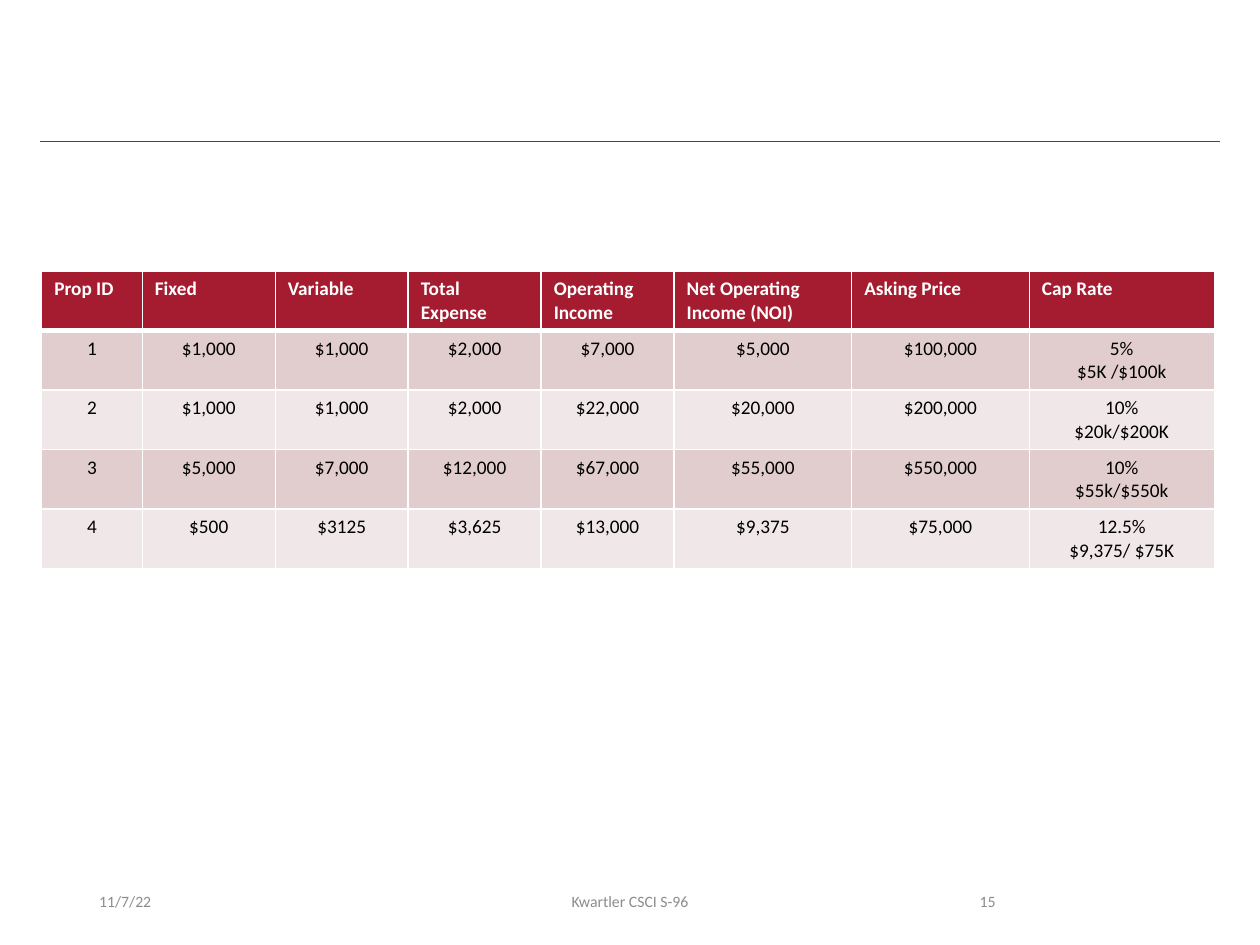
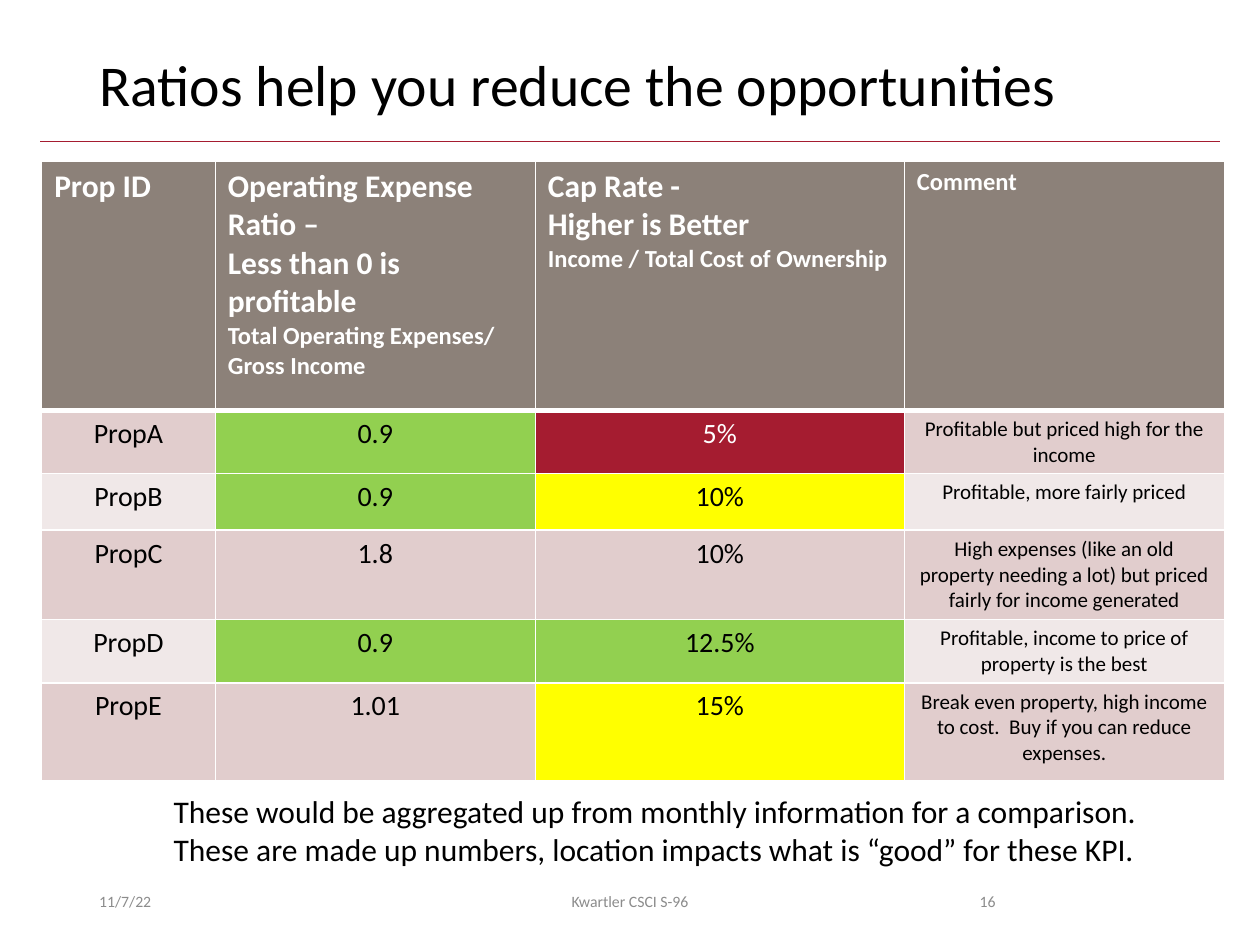
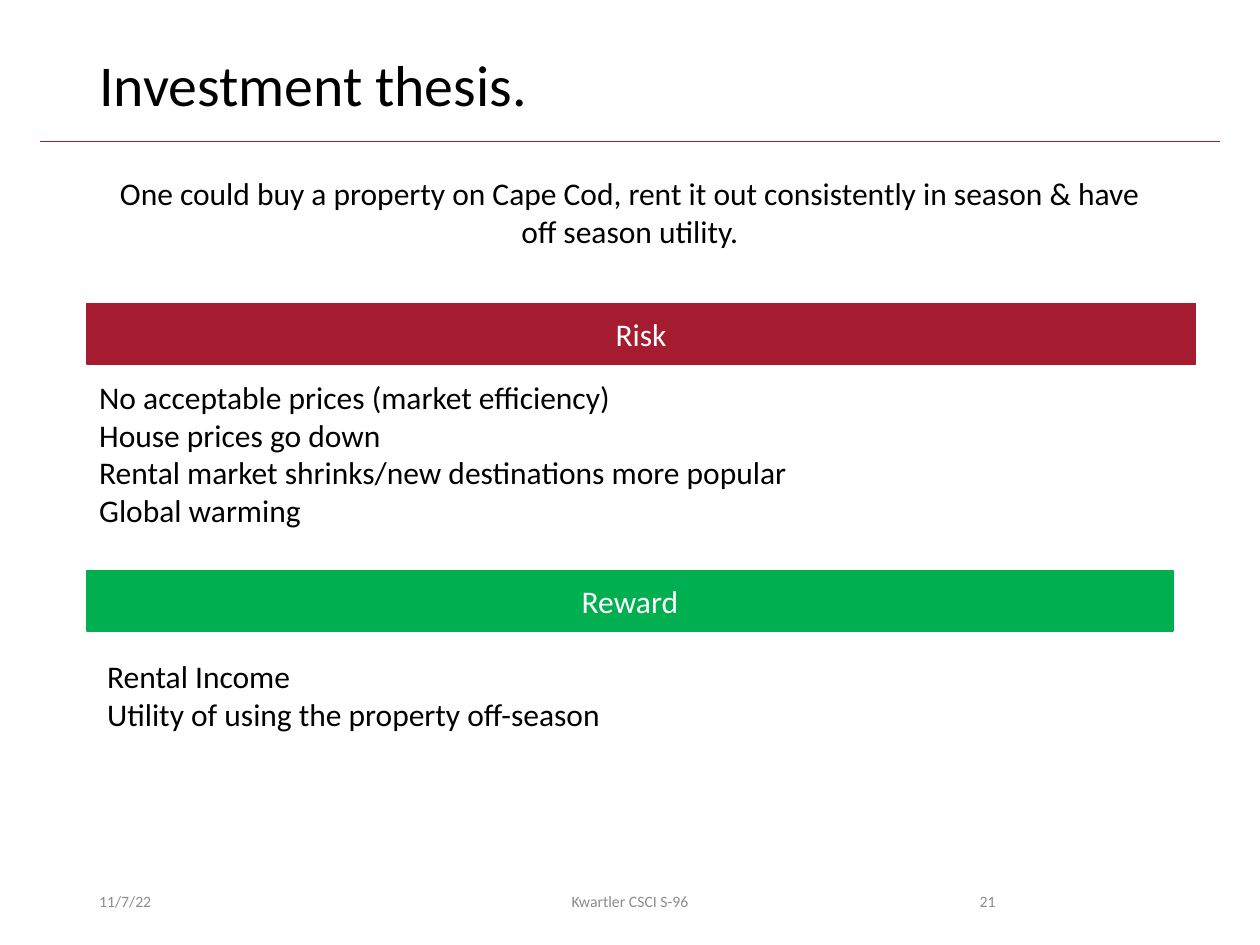
from lxml import etree
from pptx import Presentation
from pptx.dml.color import RGBColor
from pptx.enum.shapes import MSO_CONNECTOR, MSO_SHAPE
from pptx.enum.text import MSO_ANCHOR, PP_ALIGN
from pptx.oxml.ns import qn
from pptx.util import Cm, Pt

LEFT, CENTER, RIGHT = PP_ALIGN.LEFT, PP_ALIGN.CENTER, PP_ALIGN.RIGHT
TOP, MIDDLE = MSO_ANCHOR.TOP, MSO_ANCHOR.MIDDLE
RECTANGLE = MSO_SHAPE.RECTANGLE
STRAIGHT = MSO_CONNECTOR.STRAIGHT

CRIMSON = RGBColor(0xA5, 0x1C, 0x30)
TAUPE = RGBColor(0x8C, 0x81, 0x79)
BAND_DARK = RGBColor(0xE1, 0xCD, 0xCD)
BAND_LIGHT = RGBColor(0xF0, 0xE8, 0xE8)
LIME = RGBColor(0x92, 0xD0, 0x50)
YELLOW = RGBColor(0xFF, 0xFF, 0x00)
GREEN = RGBColor(0x00, 0xB0, 0x50)
GRAY = RGBColor(0x8C, 0x8C, 0x8C)
BLACK = RGBColor(0x00, 0x00, 0x00)
WHITE = RGBColor(0xFF, 0xFF, 0xFF)
FONT = "Calibri"
MARGIN = 1.75
CONTENT_WIDTH = 21.9


def write_text(frame, text, size=18, last_size=None, color=BLACK, bold=False,
               align=LEFT, anchor=TOP, line_spacing=None):
    frame.word_wrap = True
    frame.vertical_anchor = anchor
    lines = text.split("\n")
    for index, line in enumerate(lines):
        paragraph = frame.add_paragraph() if index else frame.paragraphs[0]
        paragraph.alignment = align
        paragraph.line_spacing = line_spacing
        run = paragraph.add_run()
        run.text = line
        is_last = index == len(lines) - 1
        run.font.size = Pt(last_size if last_size and is_last else size)
        run.font.name = FONT
        run.font.bold = bold
        run.font.color.rgb = color


def draw_table(slide, rows, top, widths, heights, header_fill, header_size,
               header_last_sizes, body_sizes, highlights):
    table = slide.shapes.add_table(
        len(rows), len(widths), Cm(0.84), Cm(top), Cm(sum(widths)), Cm(sum(heights))
    ).table
    for column, width in zip(table.columns, widths):
        column.width = Cm(width)
    for row_index, (values, height) in enumerate(zip(rows, heights)):
        table.rows[row_index].height = Cm(height)
        is_header = row_index == 0
        band = BAND_DARK if row_index % 2 else BAND_LIGHT
        for column_index, value in enumerate(values):
            cell = table.cell(row_index, column_index)
            properties = cell._tc.get_or_add_tcPr()
            for side in "LRTB":
                thick = (row_index, side) in ((0, "B"), (1, "T"))
                border = etree.SubElement(properties, qn(f"a:ln{side}"), w=str(Pt(3 if thick else 1)))
                solid = etree.SubElement(border, qn("a:solidFill"))
                etree.SubElement(solid, qn("a:srgbClr"), val=str(WHITE))
            fill = header_fill if is_header else highlights.get((row_index, column_index), band)
            cell.fill.solid()
            cell.fill.fore_color.rgb = fill
            if is_header:
                write_text(cell.text_frame, value, size=header_size, color=WHITE, bold=True,
                           last_size=header_last_sizes[column_index])
            else:
                write_text(cell.text_frame, value, size=body_sizes[column_index], align=CENTER,
                           color=WHITE if fill == CRIMSON else BLACK)


presentation = Presentation()
presentation.slide_width = Cm(25.4)
presentation.slide_height = Cm(19.05)

slides = []
for title, number in (
    (None, "15"),
    ("Ratios help you reduce the opportunities", "16"),
    ("Investment thesis.", "21"),
):
    slide = presentation.slides.add_slide(presentation.slide_layouts[6])
    slides.append(slide)
    rule = slide.shapes.add_connector(STRAIGHT, Cm(0.81), Cm(2.85), Cm(24.59), Cm(2.85))
    rule.line.color.rgb = CRIMSON
    rule.line.width = Pt(0.5)
    etree.SubElement(rule._element.spPr, qn("a:effectLst"))
    if title:
        title_box = slide.shapes.add_textbox(Cm(MARGIN), Cm(1.02), Cm(CONTENT_WIDTH), Cm(1.65))
        write_text(title_box.text_frame, title, size=33, line_spacing=0.9)
    for text, left, width, align in (
        ("11/7/22", MARGIN, 5.72, LEFT),
        ("Kwartler CSCI S-96", 8.41, 8.58, CENTER),
        (number, 17.93, 2.39, RIGHT),
    ):
        footer = slide.shapes.add_textbox(Cm(left), Cm(17.65), Cm(width), Cm(1.02))
        write_text(footer.text_frame, text, size=9, color=GRAY, align=align, anchor=MIDDLE)

property_slide, ratio_slide, thesis_slide = slides

property_rows = [
    ["Prop ID", "Fixed", "Variable", "Total Expense", "Operating Income",
     "Net Operating Income (NOI)", "Asking Price", "Cap Rate"],
    ["1", "$1,000", "$1,000", "$2,000", "$7,000", "$5,000", "$100,000", "5%\n$5K /$100k"],
    ["2", "$1,000", "$1,000", "$2,000", "$22,000", "$20,000", "$200,000", "10%\n$20k/$200K"],
    ["3", "$5,000", "$7,000", "$12,000", "$67,000", "$55,000", "$550,000", "10%\n$55k/$550k"],
    ["4", "$500", "$3125", "$3,625", "$13,000", "$9,375", "$75,000", "12.5%\n$9,375/ $75K"],
]
draw_table(
    property_slide, property_rows, top=5.46,
    widths=[2.03] + [2.68] * 4 + [3.58] * 2 + [3.73], heights=[1.2] * 5,
    header_fill=CRIMSON, header_size=11, header_last_sizes=[11] * 8,
    body_sizes=[11] * 8, highlights={},
)

ratio_rows = [
    ["Prop ID",
     "Operating Expense Ratio –\nLess than 0 is profitable\nTotal Operating Expenses/ Gross Income",
     "Cap Rate -\nHigher is Better\nIncome / Total Cost of Ownership",
     "Comment"],
    ["PropA", "0.9", "5%", "Profitable but priced high for the income"],
    ["PropB", "0.9", "10%", "Profitable, more fairly priced"],
    ["PropC", "1.8", "10%",
     "High expenses (like an old property needing a lot) but priced fairly for income generated"],
    ["PropD", "0.9", "12.5%", "Profitable, income to price of property is the best"],
    ["PropE", "1.01", "15%",
     "Break even property, high income to cost.  Buy if you can reduce expenses."],
]
draw_table(
    ratio_slide, ratio_rows, top=3.25,
    widths=[3.5, 6.45, 7.44, 6.45], heights=[5.02, 1.28, 1.14, 1.8, 1.28, 1.98],
    header_fill=TAUPE, header_size=18, header_last_sizes=[18, 14, 14, 14],
    body_sizes=[16, 16, 16, 12],
    highlights={(1, 1): LIME, (1, 2): CRIMSON, (2, 1): LIME, (2, 2): YELLOW,
                (4, 1): LIME, (4, 2): LIME, (5, 2): YELLOW},
)

for slide, text, left, top, width, height, align in (
    (ratio_slide,
     "These would be aggregated up from monthly information for a comparison.\n"
     "These are made up numbers, location impacts what is “good” for these KPI.",
     3.25, 15.85, 20.4, 1.8, LEFT),
    (thesis_slide,
     "One could buy a property on Cape Cod, rent it out consistently in season & have "
     "off season utility.",
     MARGIN, 3.38, CONTENT_WIDTH, 1.8, CENTER),
    (thesis_slide,
     "No acceptable prices (market efficiency)\nHouse prices go down\n"
     "Rental market shrinks/new destinations more popular\nGlobal warming",
     MARGIN, 7.49, 16.08, 3.33, LEFT),
    (thesis_slide,
     "Rental Income\nUtility of using the property off-season",
     1.91, 13.13, 16.2, 1.8, LEFT),
):
    text_box = slide.shapes.add_textbox(Cm(left), Cm(top), Cm(width), Cm(height))
    write_text(text_box.text_frame, text, align=align)

for heading, top, width, color in (
    ("Risk", 6.12, 22.35, CRIMSON),
    ("Reward", 11.5, CONTENT_WIDTH, GREEN),
):
    band = thesis_slide.shapes.add_shape(RECTANGLE, Cm(MARGIN), Cm(top), Cm(width), Cm(1.22))
    band.shadow.inherit = False
    band.fill.solid()
    band.fill.fore_color.rgb = color
    band.line.color.rgb = color
    band.line.width = Pt(1)
    write_text(band.text_frame, heading, color=WHITE, align=CENTER, anchor=MIDDLE)

presentation.save("out.pptx")
